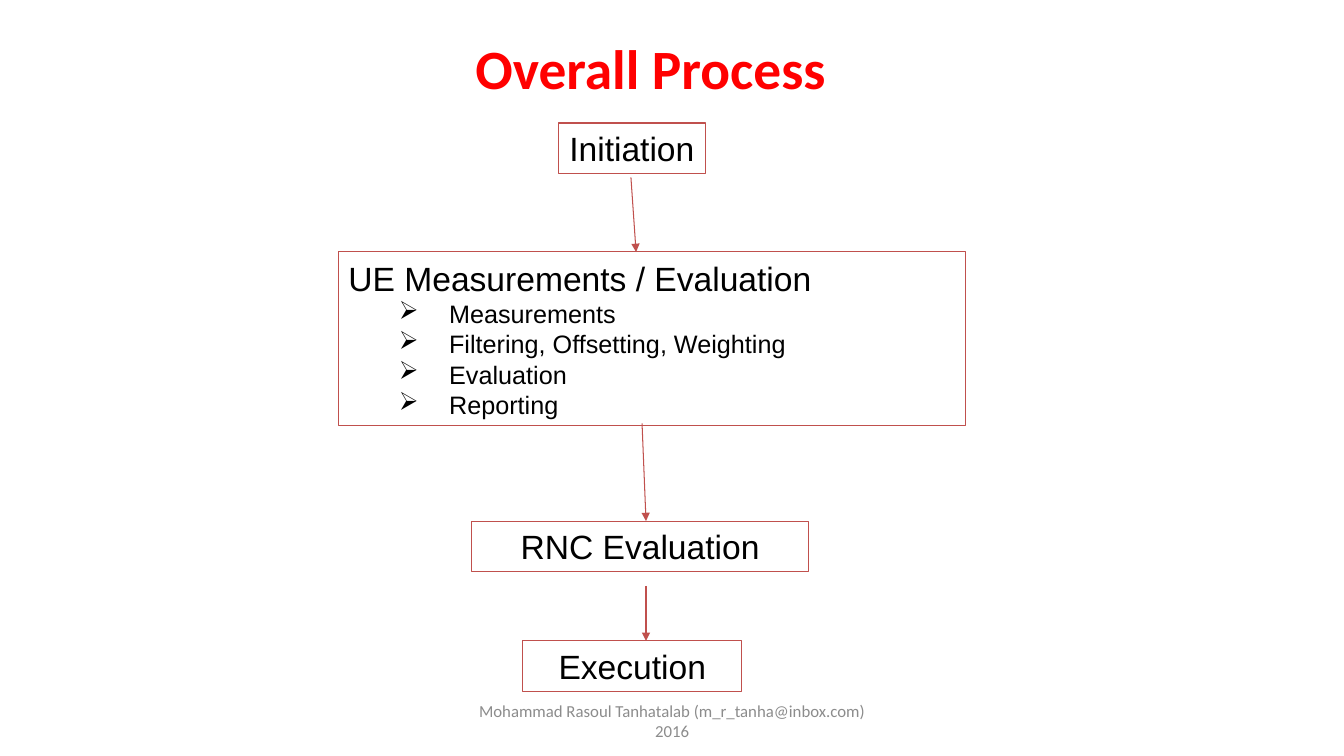
from lxml.etree import SubElement
from pptx import Presentation
from pptx.dml.color import RGBColor
from pptx.enum.shapes import MSO_CONNECTOR as Connector, MSO_SHAPE as Shape
from pptx.enum.text import MSO_ANCHOR as Anchor, PP_ALIGN as Align
from pptx.oxml.ns import qn
from pptx.util import Cm, Pt

RED, BRICK, BLACK, GRAY = "FF0000", "C0504D", "000000", "8C8C8C"
TITLE = ("Overall Process", (5.28, 0.84, 22.23, 1.7))
FOOTER = ("Mohammad Rasoul Tanhatalab (m_r_tanha@inbox.com)\v2016",
          (11.58, 17.65, 10.72, 1.02))
STEPS = [
    ("Initiation", (14.07, 3.1, 3.71, 1.28), []),
    ("UE Measurements / Evaluation", (8.53, 6.35, 15.8, 4.37),
     ["Measurements", "Filtering, Offsetting, Weighting", "Evaluation", "Reporting"]),
    ("RNC Evaluation", (11.89, 13.13, 8.48, 1.28), []),
    ("Execution", (13.18, 16.15, 5.51, 1.28), []),
]
ARROWS = [
    (15.9, 4.47, 16.03, 6.35),
    (16.18, 10.67, 16.28, 13.13),
    (16.28, 14.76, 16.28, 16.15),
]
TITLE_FONT = {"name": "Calibri", "size": Pt(39.6), "bold": True}
FOOTER_FONT = {"name": "Calibri", "size": Pt(12)}
STEP_FONT = {"name": "Arial", "size": Pt(24)}
DETAIL_FONT = {"name": "Arial", "size": Pt(18)}


def rgb(color):
    return RGBColor.from_string(color)


def apply(target, values):
    for key, value in values.items():
        setattr(target, key, value)


def lengths(numbers):
    return [Cm(number) for number in numbers]


def write(paragraph, text, font, color, align):
    paragraph.text = text
    paragraph.alignment = align
    for run in paragraph.runs:
        apply(run.font, font)
        run.font.color.rgb = rgb(color)


def outline(line):
    line.color.rgb = rgb(BRICK)
    line.width = Pt(0.75)


def hang(paragraph, margin):
    properties = paragraph._p.get_or_add_pPr()
    properties.set("marL", str(Cm(margin)))
    properties.set("indent", str(Cm(-1.27)))
    return properties


def add_step(slide, heading, place, details):
    step = slide.shapes.add_shape(Shape.FLOWCHART_PROCESS, *lengths(place))
    step.shadow.inherit = False
    step.fill.background()
    outline(step.line)
    frame = step.text_frame
    apply(frame, {"word_wrap": heading != "Initiation", "vertical_anchor": Anchor.MIDDLE})
    lead = frame.paragraphs[0]
    write(lead, heading, STEP_FONT, BLACK, Align.LEFT if details else Align.CENTER)
    if details:
        hang(lead, 1.27)
    for detail in details:
        entry = frame.add_paragraph()
        entry.level = 1
        SubElement(hang(entry, 2.54), qn("a:buChar")).set("char", "➢")
        write(entry, detail, DETAIL_FONT, BLACK, Align.LEFT)


def add_arrow(slide, ends):
    arrow = slide.shapes.add_connector(Connector.STRAIGHT, *lengths(ends))
    outline(arrow.line)
    SubElement(arrow.line._get_or_add_ln(), qn("a:tailEnd")).set("type", "triangle")
    SubElement(arrow._element.spPr, qn("a:effectLst"))


def main():
    deck = Presentation()
    apply(deck, {"slide_width": Cm(33.87), "slide_height": Cm(19.05)})
    slide = deck.slides.add_slide(deck.slide_layouts[5])

    text, place = TITLE
    title = slide.shapes.title
    apply(title, dict(zip(("left", "top", "width", "height"), lengths(place))))
    title.text_frame.vertical_anchor = Anchor.MIDDLE
    write(title.text_frame.paragraphs[0], text, TITLE_FONT, RED, Align.CENTER)

    text, place = FOOTER
    footer = slide.shapes.add_textbox(*lengths(place)).text_frame
    apply(footer, {"word_wrap": True, "vertical_anchor": Anchor.MIDDLE})
    write(footer.paragraphs[0], text, FOOTER_FONT, GRAY, Align.CENTER)

    for step in STEPS:
        add_step(slide, *step)
    for ends in ARROWS:
        add_arrow(slide, ends)
    deck.save("out.pptx")


if __name__ == "__main__":
    main()
